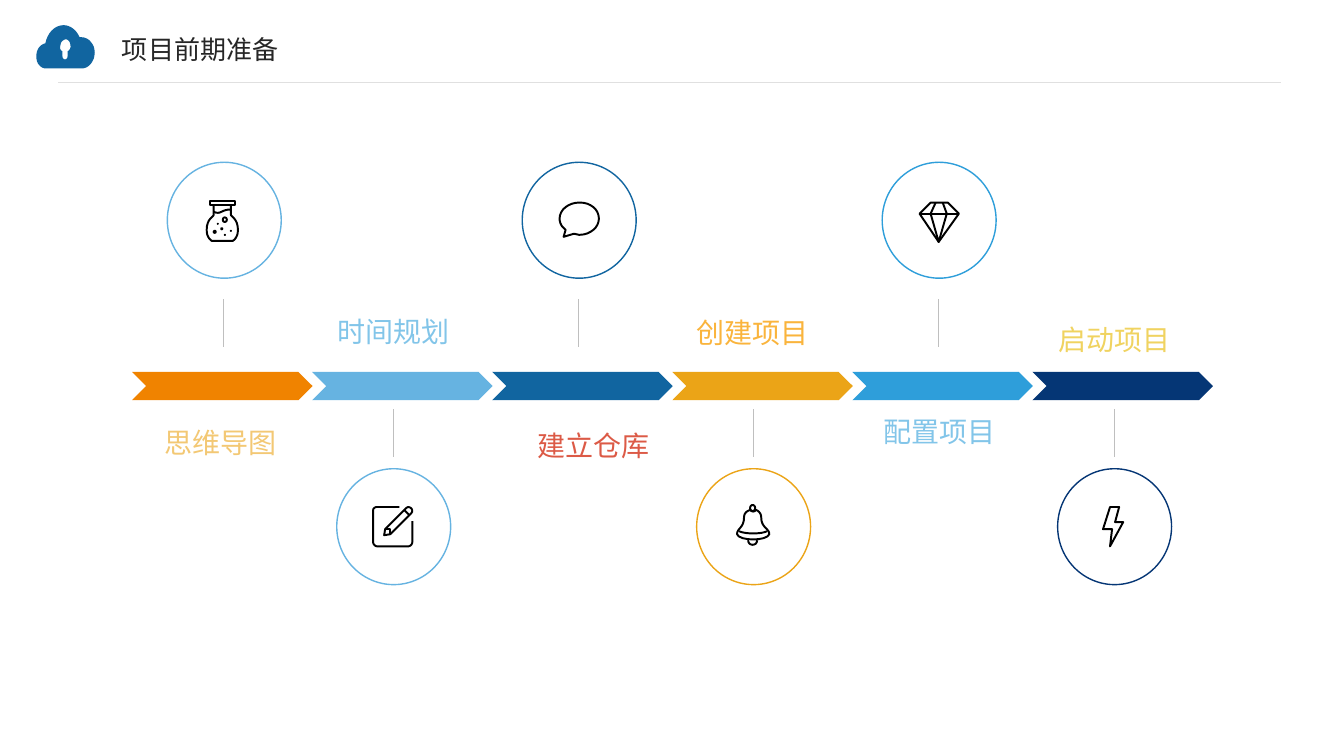
from lxml import etree
from pptx import Presentation
from pptx.dml.color import RGBColor
from pptx.enum import shapes, text
from pptx.oxml.ns import qn
from pptx.util import Inches, Pt

FONT = "Noto Sans CJK SC"
STEPS = 8  # straight pieces per curve

# An outline is a list of points; a six-number entry is a cubic curve.
FLASK = [
    [(2.08, 1.99), (2.33, 1.99), (2.33, 2.03), (2.08, 2.03), (2.08, 1.99)],
    [(2.12, 2.03), (2.12, 2.13), (2.12, 2.15, 2.05, 2.17, 2.05, 2.28),
     (2.05, 2.32, 2.06, 2.36, 2.1, 2.39), (2.31, 2.39),
     (2.35, 2.36, 2.36, 2.32, 2.36, 2.28),
     (2.36, 2.17, 2.29, 2.15, 2.29, 2.13), (2.29, 2.03)],
    [(2.12, 2.1), (2.18, 2.14, 2.21, 2.07, 2.29, 2.08)],
    [(2.21, 2.18), (2.21, 2.15, 2.25, 2.15, 2.25, 2.18),
     (2.25, 2.21, 2.21, 2.21, 2.21, 2.18)],
]
BUBBLES = [(2.13, 2.3, 0.04), (2.2, 2.27, 0.03), (2.16, 2.22, 0.02),
           (2.29, 2.29, 0.02), (2.23, 2.33, 0.02)]  # centre, diameter
PENCIL = [
    [(3.96, 5.03), (3.74, 5.03), (3.72, 5.03, 3.7, 5.04, 3.7, 5.07),
     (3.7, 5.37), (3.7, 5.4, 3.72, 5.42, 3.74, 5.42), (4.05, 5.42),
     (4.07, 5.42, 4.09, 5.4, 4.09, 5.37), (4.09, 5.17)],
    [(3.81, 5.31), (3.82, 5.25), (4.03, 5.04),
     (4.06, 5.01, 4.11, 5.06, 4.08, 5.09), (3.87, 5.3), (3.81, 5.31)],
    [(4.01, 5.06), (4.06, 5.11)],
    [(3.82, 5.25), (3.87, 5.25), (3.87, 5.3)],
]
BUBBLE_TALK = [
    [(5.59, 2.35), (5.61, 2.28), (5.57, 2.25, 5.55, 2.21, 5.55, 2.17),
     (5.55, 2.08, 5.64, 2.01, 5.75, 2.01), (5.86, 2.01, 5.94, 2.08, 5.94, 2.17),
     (5.94, 2.25, 5.86, 2.33, 5.75, 2.33),
     (5.73, 2.33, 5.71, 2.32, 5.69, 2.32), (5.59, 2.35)],
]
BELL = [
    [(7.31, 5.3), (7.31, 5.24, 7.38, 5.24, 7.38, 5.13),
     (7.38, 5.1, 7.4, 5.07, 7.44, 5.06), (7.46, 5.08, 7.48, 5.08, 7.5, 5.06),
     (7.53, 5.07, 7.55, 5.1, 7.55, 5.13), (7.55, 5.24, 7.63, 5.24, 7.63, 5.3),
     (7.61, 5.37, 7.33, 5.37, 7.31, 5.3)],
    [(7.33, 5.27), (7.39, 5.3, 7.55, 5.3, 7.61, 5.27)],
    [(7.44, 5.04), (7.44, 5, 7.49, 5, 7.49, 5.04),
     (7.49, 5.08, 7.44, 5.08, 7.44, 5.04)],
    [(7.42, 5.36), (7.42, 5.42, 7.51, 5.42, 7.51, 5.36)],
]
DIAMOND = [
    [(9.12, 2.12), (9.23, 2.01), (9.4, 2.01), (9.51, 2.12), (9.31, 2.4),
     (9.12, 2.12)],
    [(9.12, 2.12), (9.51, 2.12)],
    [(9.28, 2.01), (9.23, 2.12), (9.31, 2.4), (9.39, 2.12), (9.35, 2.01)],
]
BOLT = [
    [(11.01, 5.03), (11.1, 5.03), (11.06, 5.18), (11.14, 5.18), (11.01, 5.42),
     (11.03, 5.25), (10.94, 5.25), (11.01, 5.03)],
]
CLOUD = [
    [(0.81, 0.37), (0.79, 0.37), (0.76, 0.3, 0.7, 0.25, 0.63, 0.25),
     (0.54, 0.25, 0.47, 0.33, 0.45, 0.43), (0.4, 0.44, 0.36, 0.49, 0.36, 0.56),
     (0.36, 0.63, 0.4, 0.68, 0.46, 0.68), (0.81, 0.68),
     (0.88, 0.68, 0.94, 0.61, 0.94, 0.52), (0.94, 0.44, 0.88, 0.37, 0.81, 0.37)],
    [(0.67, 0.51), (0.67, 0.56), (0.67, 0.6, 0.62, 0.6, 0.62, 0.56),
     (0.62, 0.51), (0.6, 0.5, 0.59, 0.48, 0.6, 0.45),
     (0.6, 0.42, 0.62, 0.4, 0.65, 0.39), (0.68, 0.39, 0.7, 0.42, 0.7, 0.46),
     (0.7, 0.48, 0.69, 0.5, 0.67, 0.51)],
]


def paint(sp, fill=None, line=None, width=1):
    """Give a shape or connector its hex colours and no shadow."""
    if hasattr(sp, "fill"):
        sp.shadow.inherit = False
        if fill:
            sp.fill.solid()
            sp.fill.fore_color.rgb = RGBColor.from_string(fill)
        else:
            sp.fill.background()
    else:
        etree.SubElement(sp._element.spPr, qn("a:effectLst"))
    if line:
        sp.line.color.rgb = RGBColor.from_string(line)
        sp.line.width = Pt(width)
    else:
        sp.line.fill.background()


def add_outlines(outlines):
    """Return one freeform made of all the outlines, curves flattened."""
    builder = None
    for start, *parts in outlines:
        points = [start]
        for part in parts:
            if len(part) == 2:
                points.append(part)
                continue
            ends = [points[-1], part[:2], part[2:4], part[4:]]
            for step in range(1, STEPS + 1):
                t = step / STEPS
                weights = ((1 - t) ** 3, 3 * t * (1 - t) ** 2,
                           3 * t * t * (1 - t), t ** 3)
                points.append(tuple(sum(w * e[axis] for w, e in zip(weights, ends))
                                    for axis in (0, 1)))
        points = [(round(x * 1000), round(y * 1000)) for x, y in points]
        if builder is None:
            builder = s.shapes.build_freeform(*points[0], scale=Inches(1) / 1000)
        else:
            builder.move_to(*points[0])
        builder.add_line_segments(points[1:], close=points[0] == points[-1])
    return builder.convert_to_shape()


prs = Presentation()
prs.slide_width, prs.slide_height = Inches(13.33), Inches(7.5)
s = prs.slides.add_slide(prs.slide_layouts[6])

# Milestones along the arrow band, alternating above and below it
milestones = [  # centre x, chevron colour, circle colour, icon
    (2.22, "F08300", "66B3E1", FLASK),
    (3.9, "66B3E1", "66B3E1", PENCIL),
    (5.74, "1165A0", "1165A0", BUBBLE_TALK),
    (7.47, "EBA417", "EBA417", BELL),
    (9.31, "2E9EDA", "2E9EDA", DIAMOND),
    (11.05, "053675", "053675", BOLT),
]
lines = [(0.58, 0.82, 12.71, 0.82, "E0E0E0")]
for i, (x, band, ring, icon) in enumerate(milestones):
    chevron = s.shapes.add_shape(shapes.MSO_SHAPE.CHEVRON, Inches(1.31 + 1.786 * i),
                                 Inches(3.69), Inches(1.79), Inches(0.28))
    paint(chevron, fill=band)
    circle_top, line_top = (4.65, 4.06) if i % 2 else (1.61, 2.97)
    circle = s.shapes.add_shape(shapes.MSO_SHAPE.OVAL, Inches(x - 0.56),
                                Inches(circle_top), Inches(1.13), Inches(1.15))
    paint(circle, line=ring)
    paint(add_outlines(icon), line="000000", width=1.4)
    lines.append((x, line_top, x, line_top + 0.47, "BFBFBF"))

for x, y, size in BUBBLES:
    dot = s.shapes.add_shape(shapes.MSO_SHAPE.OVAL, Inches(x - size / 2),
                             Inches(y - size / 2), Inches(size), Inches(size))
    paint(dot, fill="000000")

for x1, y1, x2, y2, color in lines:
    rule = s.shapes.add_connector(shapes.MSO_CONNECTOR.STRAIGHT, Inches(x1),
                                  Inches(y1), Inches(x2), Inches(y2))
    paint(rule, line=color, width=0.75)

paint(add_outlines(CLOUD), fill="1165A0")

# Title and labels
title_box = (1.21, 0.23, 3.48, 0.52)
texts = [
    ("项目前期准备", title_box, 18.6, "262626"),
    ("思维导图", (1.29, 4.17, 1.79, 0.44), 20, "F3C874"),
    ("时间规划", (3.01, 3.07, 1.79, 0.44), 20, "82C5E9"),
    ("建立仓库", (4.99, 4.2, 1.79, 0.44), 20, "DC5A46"),
    ("创建项目", (6.57, 3.08, 1.79, 0.44), 20, "FAB43C"),
    ("配置项目", (8.42, 4.06, 1.79, 0.44), 20, "82C5E9"),
    ("启动项目", (10.16, 3.15, 1.79, 0.44), 20, "F0D360"),
]
for words, box, size, color in texts:
    tf = s.shapes.add_textbox(*map(Inches, box)).text_frame
    tf.word_wrap = True
    p = tf.paragraphs[0]
    p.text = words
    p.font.size = Pt(size)
    p.font.color.rgb = RGBColor.from_string(color)
    p.font.name = FONT
    etree.SubElement(p._p.pPr.find(qn("a:defRPr")), qn("a:ea"), typeface=FONT)
    if box == title_box:
        tf.vertical_anchor = text.MSO_ANCHOR.MIDDLE
        tf.margin_left = tf.margin_right = tf.margin_top = tf.margin_bottom = 0
    else:
        p.alignment = text.PP_ALIGN.CENTER

prs.save("out.pptx")
